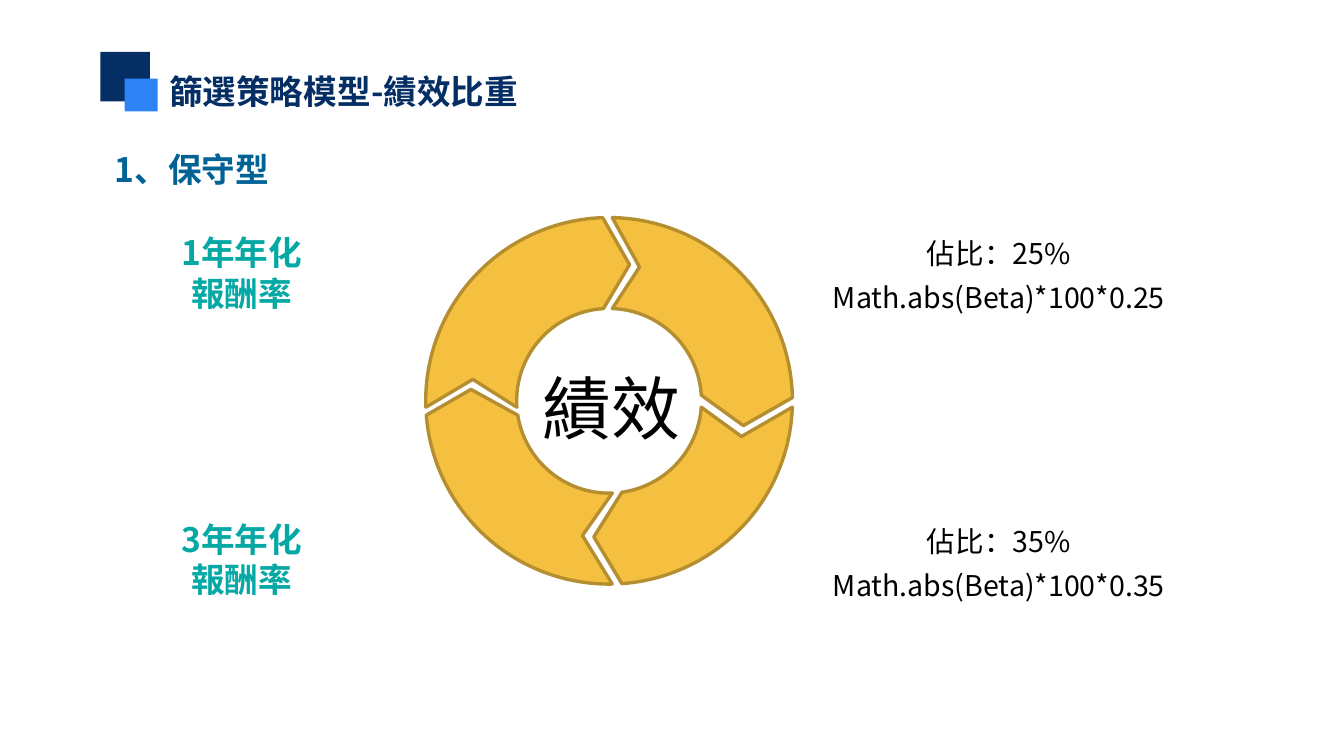
from math import cos, radians, sin

from lxml import etree
from pptx import Presentation
from pptx.dml.color import RGBColor
from pptx.enum.shapes import MSO_SHAPE
from pptx.enum.text import MSO_ANCHOR, PP_ALIGN
from pptx.oxml.ns import qn
from pptx.util import Cm, Pt

RECTANGLE = MSO_SHAPE.RECTANGLE
LEFT, CENTER = PP_ALIGN.LEFT, PP_ALIGN.CENTER
TOP, MIDDLE = MSO_ANCHOR.TOP, MSO_ANCHOR.MIDDLE
FONT = "Noto Sans CJK SC"
COLORS = {
    "navy": "052E65",
    "blue": "2D83F4",
    "heading": "016296",
    "teal": "04A8A4",
    "gold": "F5C040",
    "outline": "B58E2F",
    "black": "000000",
}
RING_X, RING_Y = 12.79, 8.42
OUTER_RADIUS, INNER_RADIUS = 3.85, 1.94
RING_ARROWS = [
    {"outer": (-89, -1), "head": (2.82, 0.52), "inner": (-3.5, -88), "notch": (0.64, -2.81)},
    {"outer": (178, 268), "head": (0.43, -2.86), "inner": (266.5, 176), "notch": (-2.86, -0.45)},
    {"outer": (89, 175.5), "head": (-2.9, -0.24), "inner": (171, 88), "notch": (-0.56, 2.83)},
    {"outer": (2, 86), "head": (-0.32, 2.86), "inner": (82, 4), "notch": (2.78, 0.75)},
]
MEASURES = [
    ("1年年化\n報酬率", 4.75, "佔比：25%\nMath.abs(Beta)*100*0.25", 4.47),
    ("3年年化\n報酬率", 10.77, "佔比：35%\nMath.abs(Beta)*100*0.35", 10.52),
]


def rgb(color):
    return RGBColor.from_string(COLORS[color])


def add_text(slide, text, left, top, width, height, *, size, color="black",
             bold=False, align=LEFT, anchor=TOP, spacing=1.0, insets=(0.25, 0.13)):
    box = slide.shapes.add_textbox(Cm(left), Cm(top), Cm(width), Cm(height))
    frame = box.text_frame
    frame.word_wrap = True
    frame.vertical_anchor = anchor
    frame.margin_left = frame.margin_right = Cm(insets[0])
    frame.margin_top = frame.margin_bottom = Cm(insets[1])
    frame.text = text
    for paragraph in frame.paragraphs:
        paragraph.alignment = align
        paragraph.line_spacing = spacing
        for run in paragraph.runs:
            run.font.size = Pt(size)
            run.font.bold = bold
            run.font.name = FONT
            run.font.color.rgb = rgb(color)
            east_asian = etree.SubElement(run.font._element, qn("a:ea"))
            east_asian.set("typeface", FONT)


def paint(shape, fill, outline=None):
    shape.shadow.inherit = False
    shape.fill.solid()
    shape.fill.fore_color.rgb = rgb(fill)
    if outline:
        shape.line.color.rgb = rgb(outline)
        shape.line.width = Pt(2)
    else:
        shape.line.fill.background()


def add_square(slide, left, top, side, color):
    square = slide.shapes.add_shape(RECTANGLE, Cm(left), Cm(top), Cm(side), Cm(side))
    paint(square, color)


def arc(radius, start, end, steps=60):
    angles = [radians(start + (end - start) * i / steps) for i in range(steps + 1)]
    return [(radius * cos(angle), radius * sin(angle)) for angle in angles]


def add_ring_arrow(slide, outer, head, inner, notch):
    outline = [*arc(OUTER_RADIUS, *outer), head, *arc(INNER_RADIUS, *inner), notch]
    points = [(Cm(RING_X + x), Cm(RING_Y + y)) for x, y in outline]
    builder = slide.shapes.build_freeform(*points[0])
    builder.add_line_segments(points[1:], close=True)
    paint(builder.convert_to_shape(), "gold", "outline")


def main():
    deck = Presentation()
    deck.slide_width, deck.slide_height = Cm(28.22), Cm(15.88)
    slide = deck.slides.add_slide(deck.slide_layouts[6])

    add_text(slide, "篩選策略模型-績效比重", 3.3, 1.35, 8.13, 1.12,
             size=20, color="navy", bold=True)
    add_square(slide, 2.11, 1.09, 1.04, "navy")
    add_square(slide, 2.62, 1.65, 0.69, "blue")
    add_text(slide, "1、保守型", 2.16, 3, 8, 1.12, size=20, color="heading", bold=True)

    for ring_arrow in RING_ARROWS:
        add_ring_arrow(slide, **ring_arrow)
    add_text(slide, "績效", 11.02, 7.59, 3.66, 1.96, size=41, align=CENTER, insets=(0.2, 0.1))

    for period, period_top, weight, weight_top in MEASURES:
        add_text(slide, weight, 17.15, weight_top, 7.65, 2.41,
                 size=17, align=CENTER, anchor=MIDDLE, spacing=1.3)
        add_text(slide, period, 3.4, period_top, 3.35, 1.96,
                 size=20, color="teal", bold=True, align=CENTER)

    deck.save("out.pptx")


if __name__ == "__main__":
    main()
